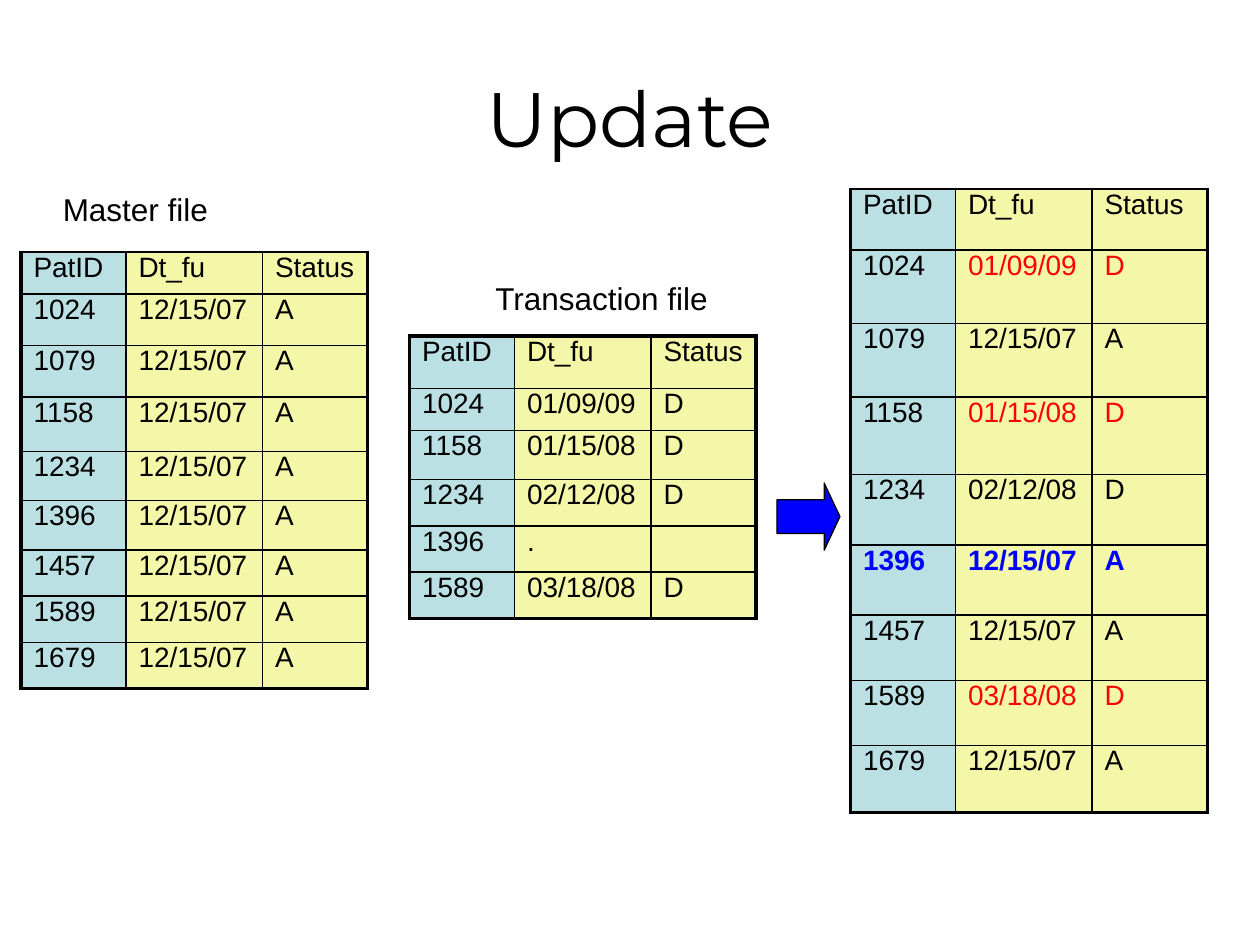
from dataclasses import dataclass

from lxml import etree
from pptx import Presentation
from pptx.dml.color import RGBColor
from pptx.enum.shapes import MSO_SHAPE
from pptx.enum.text import MSO_ANCHOR, MSO_AUTO_SIZE, PP_ALIGN
from pptx.oxml.ns import qn
from pptx.util import Inches, Pt

RIGHT_ARROW = MSO_SHAPE.RIGHT_ARROW
MIDDLE = MSO_ANCHOR.MIDDLE
FIT_SHAPE = MSO_AUTO_SIZE.SHAPE_TO_FIT_TEXT
LEFT, CENTER = PP_ALIGN.LEFT, PP_ALIGN.CENTER

COLUMNS, ROWS = 120, 90  # grid steps across and down the slide


@dataclass(frozen=True)
class Theme:
    ink: str = "000000"
    key_fill: str = "BBE0E3"
    value_fill: str = "F4F6A8"
    changed: str = "FF0000"
    kept: str = "0000FF"
    title_font: str = "Montserrat"
    body_font: str = "Arial"
    title_size: float = 44
    label_size: float = 18
    cell_size: float = 16
    thick: float = 2.25
    thin: float = 1
    outline: float = 0.75


class SlideBuilder:
    def __init__(self, presentation, theme):
        self.theme = theme
        self.column = presentation.slide_width / COLUMNS
        self.row = presentation.slide_height / ROWS
        self.slide = presentation.slides.add_slide(presentation.slide_layouts[6])

    def box(self, left, top, width, height):
        """Turn grid steps into slide lengths."""
        return (round(left * self.column), round(top * self.row),
                round(width * self.column), round(height * self.row))

    def add_text_run(self, paragraph, text, size, font=None, color=None, bold=False):
        run = paragraph.add_run()
        run.text = text
        run.font.size = Pt(size)
        run.font.name = font or self.theme.body_font
        run.font.bold = bold
        run.font.color.rgb = RGBColor.from_string(color or self.theme.ink)

    def text(self, text, place, size, font=None, align=LEFT, wrap=False):
        frame = self.slide.shapes.add_textbox(*self.box(*place)).text_frame
        frame.word_wrap = wrap
        if wrap:
            frame.vertical_anchor = MIDDLE
        else:
            frame.auto_size = FIT_SHAPE
        frame.paragraphs[0].alignment = align
        self.add_text_run(frame.paragraphs[0], text, size, font)

    def border(self, cell, side, width):
        properties = cell._tc.get_or_add_tcPr()
        line = etree.SubElement(properties, qn(f"a:ln{side}"), w=str(Pt(width)))
        fill = etree.SubElement(line, qn("a:solidFill"))
        etree.SubElement(fill, qn("a:srgbClr"), val=self.theme.ink)

    def table(self, records, left, top, widths, heights, thick_top=False, styles=None):
        """Draw a table; styles maps (row, column) to a text colour and weight."""
        theme, styles = self.theme, styles or {}
        last_row, last_column = len(heights) - 1, len(widths) - 1
        place = self.box(left, top, sum(widths), sum(heights))
        table = self.slide.shapes.add_table(len(heights), len(widths), *place).table
        table.first_row = table.horz_banding = False
        for column, width in zip(table.columns, widths):
            column.width = round(width * self.column)
        for row, height in zip(table.rows, heights):
            row.height = round(height * self.row)
        for r, record in enumerate(records):
            for c, text in enumerate(record):
                cell = table.cell(r, c)
                cell.margin_left = cell.margin_right = Inches(0.1)
                cell.margin_top = cell.margin_bottom = 0
                outer = {"L": c == 0, "R": c == last_column,
                         "T": r == 0 and thick_top, "B": r == last_row}
                for side, is_thick in outer.items():
                    self.border(cell, side, theme.thick if is_thick else theme.thin)
                cell.fill.solid()
                cell.fill.fore_color.rgb = RGBColor.from_string(
                    theme.value_fill if c else theme.key_fill)
                if text:
                    self.add_text_run(cell.text_frame.paragraphs[0], text,
                                      theme.cell_size, **styles.get((r, c), {}))

    def arrow(self, place, head):
        shape = self.slide.shapes.add_shape(RIGHT_ARROW, *self.box(*place))
        shape.shadow.inherit = False
        shape.adjustments[1] = head
        shape.fill.solid()
        shape.fill.fore_color.rgb = RGBColor.from_string(self.theme.kept)
        shape.line.color.rgb = RGBColor.from_string(self.theme.ink)
        shape.line.width = Pt(self.theme.outline)


HEADER = ("PatID", "Dt_fu", "Status")
PATIENTS = ("1024", "1079", "1158", "1234", "1396", "1457", "1589", "1679")
MASTER = [(patient, "12/15/07", "A") for patient in PATIENTS]
TRANSACTIONS = [
    ("1024", "01/09/09", "D"),
    ("1158", "01/15/08", "D"),
    ("1234", "02/12/08", "D"),
    ("1396", ".", ""),
    ("1589", "03/18/08", "D"),
]
CHANGED = ("1024", "1158", "1589")
KEPT = "1396"


def apply_transactions(master, transactions):
    """Replace master records, skipping transactions with missing values."""
    changes = {record[0]: record for record in transactions if record[2]}
    return [changes.get(record[0], record) for record in master]


def highlights(records, theme):
    styles = {}
    for r, record in enumerate(records):
        if record[0] in CHANGED:
            styles.update({(r, c): {"color": theme.changed} for c in (1, 2)})
        elif record[0] == KEPT:
            styles.update({(r, c): {"color": theme.kept, "bold": True} for c in range(3)})
    return styles


def main():
    presentation = Presentation()
    presentation.slide_width, presentation.slide_height = Inches(10), Inches(7.5)
    theme = Theme()
    builder = SlideBuilder(presentation, theme)

    builder.text("Update", (6, 3.6, 108, 15), theme.title_size,
                 theme.title_font, CENTER, wrap=True)
    builder.table([HEADER, *MASTER], 2, 24, (10, 13, 10),
                  (4, 4.9, 4.9, 5.2, 4.7, 4.7, 4.4, 4.4, 4.4))
    builder.table([HEADER, *TRANSACTIONS], 39, 32, (10, 13, 10),
                  (5, 4, 4.7, 4.4, 4.4, 4.4), thick_top=True)
    builder.text("Master file", (4.8, 17.5, 16.2, 4.8), theme.label_size)
    builder.text("Transaction file", (46, 26, 22.8, 4.8), theme.label_size)
    result = [HEADER, *apply_transactions(MASTER, TRANSACTIONS)]
    builder.table(result, 81, 18, (10, 13, 11),
                  (5.8, 7, 7, 7.4, 6.7, 6.7, 6.2, 6.2, 6.4),
                  styles=highlights(result, theme))
    builder.arrow((74, 46, 6, 6.4), head=0.25)
    presentation.save("out.pptx")


if __name__ == "__main__":
    main()
